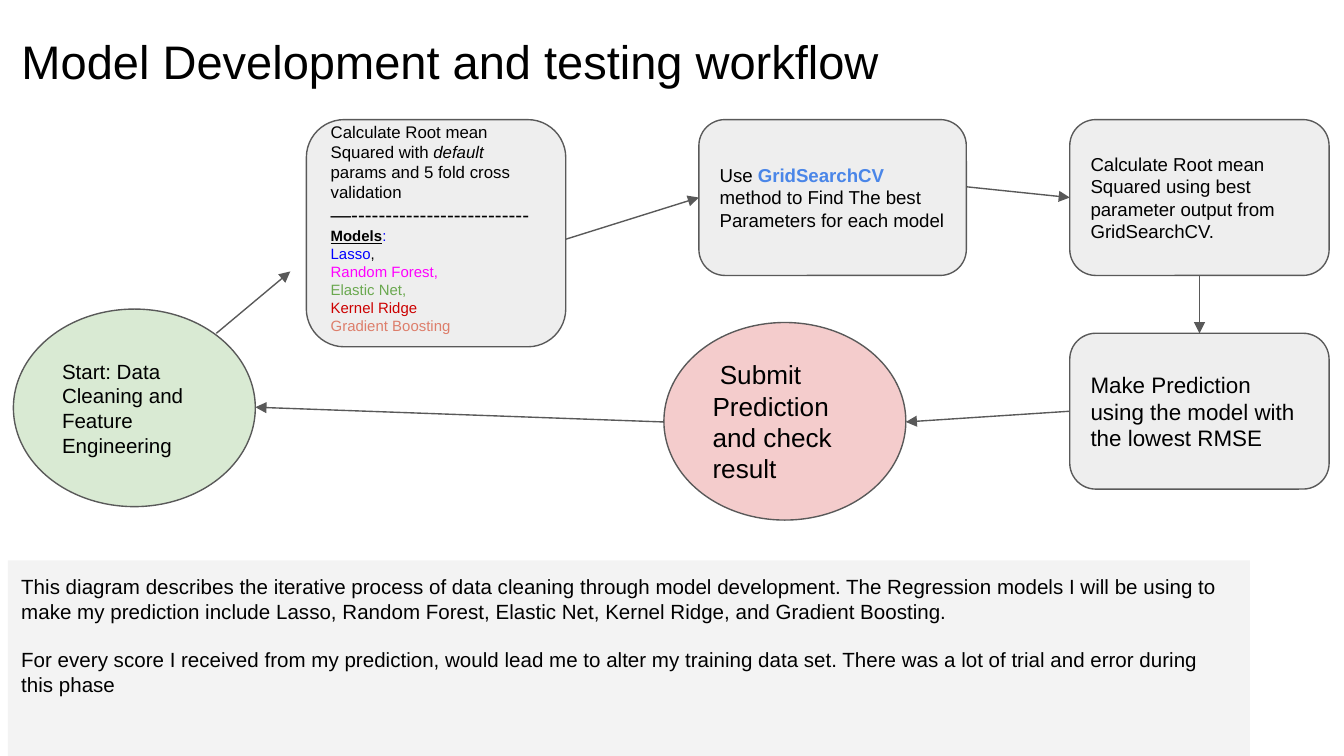
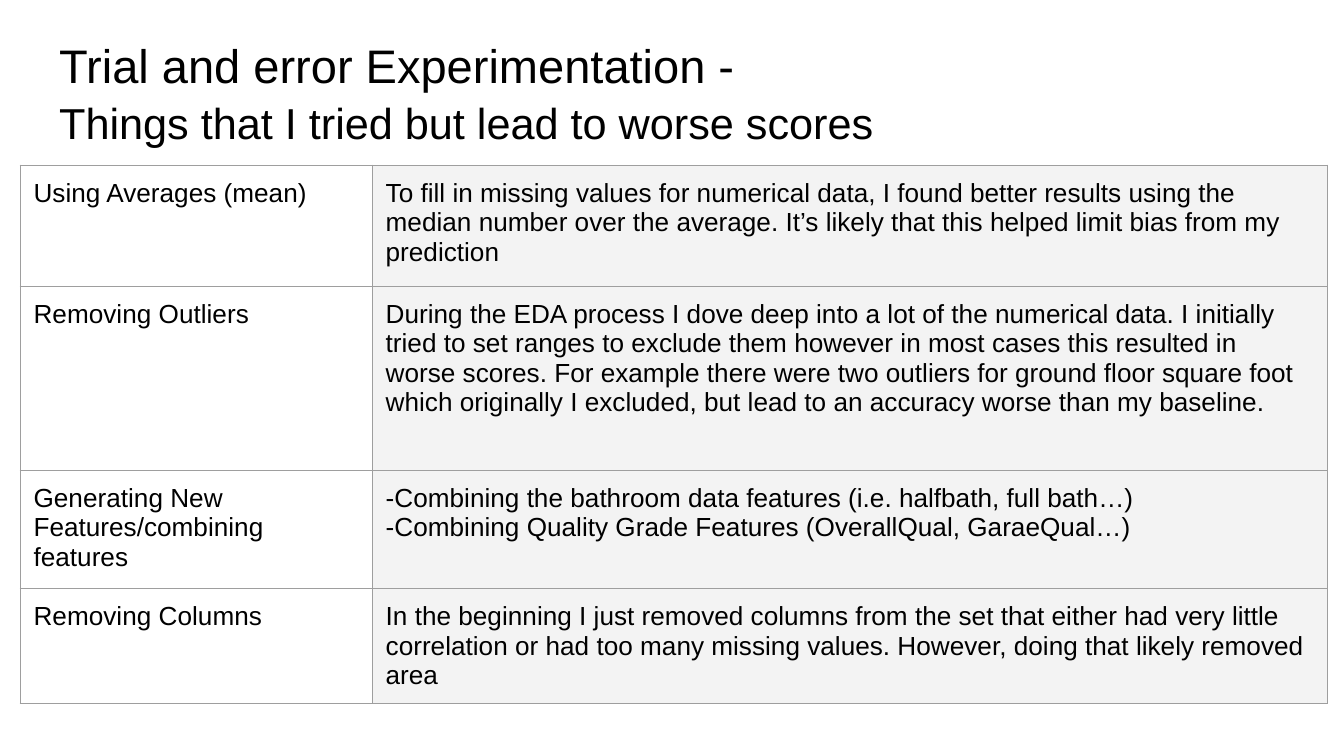
from lxml.etree import SubElement
from pptx import Presentation
from pptx.dml.color import RGBColor
from pptx.enum.shapes import MSO_CONNECTOR as CONN, MSO_SHAPE as SHAPE
from pptx.enum.text import MSO_ANCHOR as ANCHOR, MSO_AUTO_SIZE as AUTO, PP_ALIGN as ALIGN
from pptx.oxml.ns import qn
from pptx.util import Inches, Pt

FONT = "Arial"
BLACK, LINE, GRID = "000000", "595959", "9E9E9E"
BOX, PANEL, GREEN, RED = "EEEEEE", "F3F3F3", "D9EAD3", "F4CCCC"
TOP, BOX_W, BOX_H, RIGHT_X = 0.89, 1.93, 1.16, 7.96
OVAL_W, OVAL_H = 1.8, 1.47

MODELS_TEXT = [
    [("Calculate Root mean Squared with ", {"size": 9}),
     ("default", {"size": 9, "italic": True}),
     (" params and 5 fold cross validation", {"size": 9})],
    [("—--------------------------", {"size": 11})],
    [("Models", {"bold": True, "underline": True}), (":", {"color": "0000FF"})],
    [("Lasso", {"color": "0000FF"}), (",", {})],
    [("Random Forest,", {"color": "FF00FF"})],
    [("Elastic Net,", {"color": "6AA84F"})],
    [("Kernel Ridge", {"color": "CC0000"})],
    [("Gradient Boosting", {"color": "DD7E6B"})],
]
GRID_TEXT = [[("Use ", {}), ("GridSearchCV", {"color": "4A86E8", "bold": True}),
              (" method to Find The best Parameters for each model", {})]]

STEPS = {
    "models": (SHAPE.ROUNDED_RECTANGLE, 2.28, TOP, BOX_W, 1.69, BOX, 8, MODELS_TEXT),
    "grid": (SHAPE.ROUNDED_RECTANGLE, 5.2, TOP, 1.99, BOX_H, BOX, 10, GRID_TEXT),
    "rmse": (SHAPE.ROUNDED_RECTANGLE, RIGHT_X, TOP, BOX_W, BOX_H, BOX, 10,
             ["Calculate Root mean Squared using best parameter output from GridSearchCV."]),
    "start": (SHAPE.OVAL, 0.1, 2.3, OVAL_W, OVAL_H, GREEN, 11,
              ["Start: Data Cleaning and Feature Engineering"]),
    "submit": (SHAPE.OVAL, 4.94, 2.4, OVAL_W, OVAL_H, RED, 14,
               [" Submit Prediction and check result"]),
    "predict": (SHAPE.ROUNDED_RECTANGLE, RIGHT_X, 2.48, BOX_W, BOX_H, BOX, 12,
                ["Make Prediction using the model with the lowest RMSE"]),
}
ARROWS = [
    ((1.61, 2.48), (2.16, 2.02), None, None),
    ((4.21, 1.78), (5.2, 1.47), None, ("grid", 1)),
    ((7.19, 1.39), (7.96, 1.47), None, ("rmse", 1)),
    ((8.92, 2.05), (8.92, 2.48), ("rmse", 2), ("predict", 0)),
    ((7.96, 3.06), (6.74, 3.14), ("predict", 1), None),
    ((4.94, 3.14), (1.9, 3.03), None, None),
]
SUMMARY = [
    "This diagram describes the iterative process of data cleaning through model development. "
    "The Regression models I will be using to make my prediction include Lasso, Random Forest, "
    "Elastic Net, Kernel Ridge, and Gradient Boosting.",
    "For every score I received from my prediction, would lead me to alter my training data set. "
    "There was a lot of trial and error during this phase",
]

TRIALS = [
    (0.9, "Using Averages (mean)",
     ["To fill in missing values for numerical data, I found better results using the median "
      "number over the average. It’s likely that this helped limit bias from my prediction"]),
    (1.37, "Removing Outliers",
     ["During the EDA process I dove deep into a lot of the numerical data. I initially tried to "
      "set ranges to exclude them however in most cases this resulted in worse scores. For "
      "example there were two outliers for ground floor square foot which originally I excluded, "
      "but lead to an accuracy worse than my baseline."]),
    (0.88, "Generating New Features/combining features",
     ["-Combining the bathroom data features (i.e. halfbath, full bath…)",
      "-Combining Quality Grade Features (OverallQual, GaraeQual…)"]),
    (0.67, "Removing Columns",
     ["In the beginning I just removed columns from the set that either had very little "
      "correlation or had too many missing values. However, doing that likely removed area"]),
]
COLUMNS = (2.62, 7.11)


def rgb(color):
    return RGBColor.from_string(color)


def write(tf, paragraphs, size):
    for i, runs in enumerate(paragraphs):
        p = tf.paragraphs[0] if i == 0 else tf.add_paragraph()
        p.alignment = ALIGN.LEFT
        p.line_spacing = 1.0
        p.space_before = Pt(0)
        for text, style in [(runs, {})] if isinstance(runs, str) else runs:
            r = p.add_run()
            r.text = text
            r.font.name = FONT
            r.font.size = Pt(style.get("size", size))
            r.font.color.rgb = rgb(style.get("color", BLACK))
            r.font.bold = style.get("bold")
            r.font.italic = style.get("italic")
            r.font.underline = style.get("underline")


def set_frame(tf, anchor):
    tf.word_wrap = True
    tf.auto_size = AUTO.NONE
    tf.vertical_anchor = anchor
    tf.margin_left = tf.margin_right = tf.margin_top = tf.margin_bottom = Inches(0.1)


def add_titled_slide(prs, left, top, paragraphs):
    s = prs.slides.add_slide(prs.slide_layouts[5])
    title = s.shapes.title
    title.left, title.top, title.width, title.height = map(Inches, (left, top, 9.32, 0.63))
    set_frame(title.text_frame, ANCHOR.TOP)
    write(title.text_frame, paragraphs, 25.2)
    return s


def add_block(s, kind, x, y, w, h, fill, size, paragraphs, line=LINE, anchor=ANCHOR.MIDDLE):
    sp = s.shapes.add_shape(kind, *map(Inches, (x, y, w, h)))
    sp.shadow.inherit = False
    sp.fill.solid()
    sp.fill.fore_color.rgb = rgb(fill)
    if line:
        sp.line.color.rgb = rgb(line)
        sp.line.width = Pt(0.75)
    else:
        sp.line.fill.background()
    set_frame(sp.text_frame, anchor)
    write(sp.text_frame, paragraphs, size)
    return sp


def add_arrow(s, start, end, source, target, blocks):
    c = s.shapes.add_connector(CONN.STRAIGHT, *map(Inches, start + end))
    if source:
        c.begin_connect(blocks[source[0]], source[1])
    if target:
        c.end_connect(blocks[target[0]], target[1])
    c.line.color.rgb = rgb(LINE)
    c.line.width = Pt(0.75)
    ln = c._element.spPr.find(qn("a:ln"))
    SubElement(ln, qn("a:tailEnd"), type="triangle")
    SubElement(c._element.spPr, qn("a:effectLst"))


def add_borders(cell):
    tc_pr = cell._tc.get_or_add_tcPr()
    for i, side in enumerate(("lnL", "lnR", "lnT", "lnB")):
        ln = tc_pr.makeelement(qn(f"a:{side}"), {"w": str(Pt(0.75))})
        SubElement(SubElement(ln, qn("a:solidFill")), qn("a:srgbClr"), val=GRID)
        tc_pr.insert(i, ln)


def build_workflow(prs):
    s = add_titled_slide(prs, 0.06, 0.14, ["Model Development and testing workflow"])
    blocks = {name: add_block(s, *step) for name, step in STEPS.items()}
    blocks["models"].text_frame.margin_bottom = Inches(0.18)
    for arrow in ARROWS:
        add_arrow(s, *arrow, blocks)
    panel = add_block(s, SHAPE.RECTANGLE, 0.06, 4.17, 9.24, 1.5, PANEL, 11, SUMMARY,
                      line=None, anchor=ANCHOR.TOP)
    panel.text_frame.paragraphs[1].space_before = Pt(13)


def build_trials(prs):
    s = add_titled_slide(prs, 0.34, 0.17, [
        "Trial and error Experimentation -",
        [("Things that I tried but lead to worse scores", {"size": 23.2}), (" ", {})],
    ])
    height = sum(row[0] for row in TRIALS)
    frame = s.shapes.add_table(len(TRIALS), len(COLUMNS),
                               *map(Inches, (0.15, 1.23, sum(COLUMNS), height)))
    table = frame.table
    table.first_row = table.horz_banding = False
    for column, width in zip(table.columns, COLUMNS):
        column.width = Inches(width)
    for row, (row_height, name, notes) in zip(table.rows, TRIALS):
        row.height = Inches(row_height)
        for cell, paragraphs in zip(row.cells, ([name], notes)):
            cell.margin_left = cell.margin_right = Inches(0.1)
            cell.margin_top = cell.margin_bottom = Inches(0.1)
            write(cell.text_frame, paragraphs, 14)
        row.cells[0].fill.background()
        row.cells[1].fill.solid()
        row.cells[1].fill.fore_color.rgb = rgb(PANEL)
        for cell in row.cells:
            add_borders(cell)


def main():
    prs = Presentation()
    prs.slide_width = Inches(10)
    prs.slide_height = prs.slide_width * 9 // 16
    build_workflow(prs)
    build_trials(prs)
    prs.save("out.pptx")


if __name__ == "__main__":
    main()
